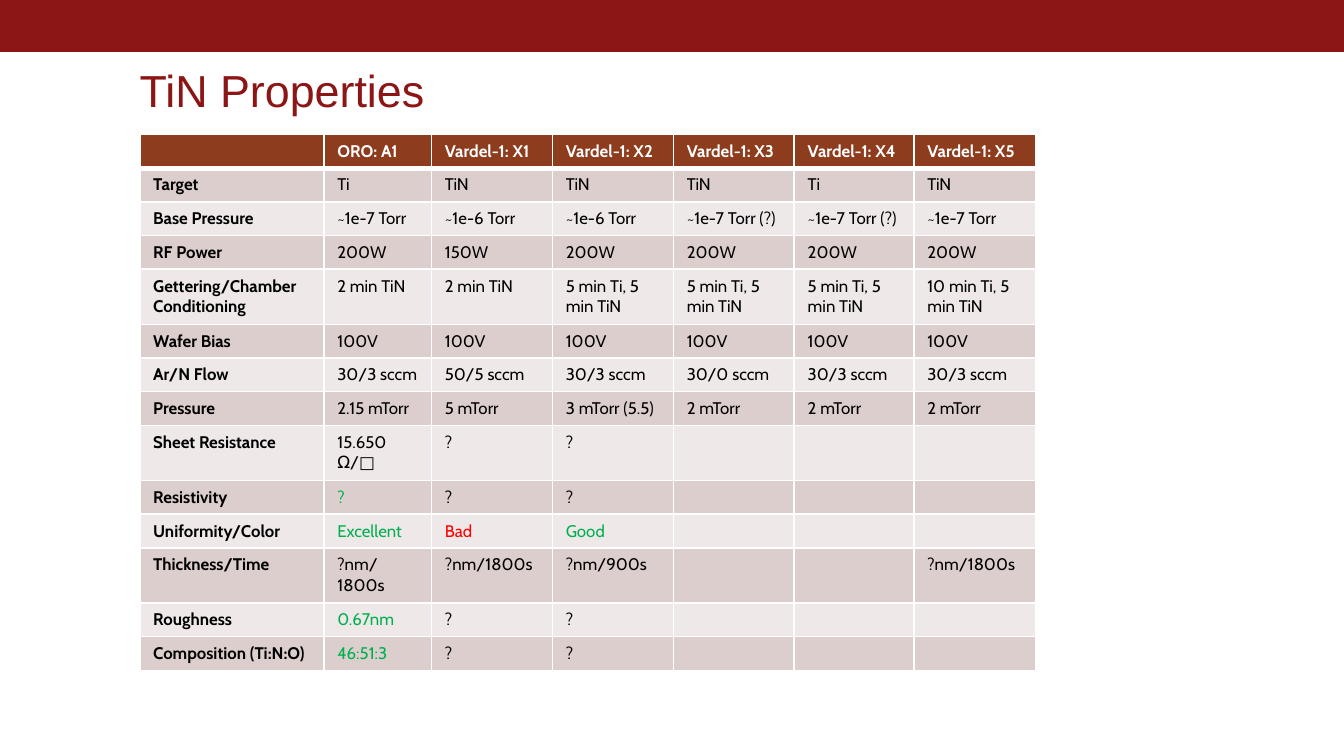
from lxml.etree import SubElement
from pptx import Presentation
from pptx.dml.color import RGBColor
from pptx.enum.shapes import MSO_SHAPE
from pptx.enum.text import MSO_ANCHOR
from pptx.oxml.ns import qn
from pptx.util import Inches, Pt

RED, GREEN, BLACK, WHITE = "8C1515", "00B050", "000000", "FFFFFF"
HEADER_FILL, BAND_FILLS = "8D3C1E", ("DBCECD", "EEE8E8")
COLUMN_WIDTHS = [1.37, 0.8, 0.9, 0.9, 0.9, 0.89, 0.91]
SINGLE_HEIGHT, DOUBLE_HEIGHT = 0.25, 0.41
DOUBLE_ROWS = {"Gettering/Chamber Conditioning", "Sheet Resistance", "Thickness/Time"}
PROPERTIES = [
    ["", "ORO: A1", "Vardel-1: X1", "Vardel-1: X2", "Vardel-1: X3", "Vardel-1: X4", "Vardel-1: X5"],
    ["Target", "Ti", "TiN", "TiN", "TiN", "Ti", "TiN"],
    ["Base Pressure", "~1e-7 Torr", "~1e-6 Torr", "~1e-6 Torr", "~1e-7 Torr (?)", "~1e-7 Torr (?)", "~1e-7 Torr"],
    ["RF Power", "200W", "150W", "200W", "200W", "200W", "200W"],
    ["Gettering/Chamber Conditioning", "2 min TiN", "2 min TiN", "5 min Ti, 5 min TiN",
     "5 min Ti, 5 min TiN", "5 min Ti, 5 min TiN", "10 min Ti, 5 min TiN"],
    ["Wafer Bias", "100V", "100V", "100V", "100V", "100V", "100V"],
    ["Ar/N Flow", "30/3 sccm", "50/5 sccm", "30/3 sccm", "30/0 sccm", "30/3 sccm", "30/3 sccm"],
    ["Pressure", "2.15 mTorr", "5 mTorr", "3 mTorr (5.5)", "2 mTorr", "2 mTorr", "2 mTorr"],
    ["Sheet Resistance", "15.650 Ω/□", "?", "?", "", "", ""],
    ["Resistivity", "?", "?", "?", "", "", ""],
    ["Uniformity/Color", "Excellent", "Bad", "Good", "", "", ""],
    ["Thickness/Time", "?nm/1800s", "?nm/1800s", "?nm/900s", "", "", "?nm/1800s"],
    ["Roughness", "0.67nm", "?", "?", "", "", ""],
    ["Composition (Ti:N:O)", "46:51:3", "?", "?", "", "", ""],
]
RATING_COLORS = {
    ("Resistivity", 1): GREEN,
    ("Uniformity/Color", 1): GREEN,
    ("Uniformity/Color", 2): "FF0000",
    ("Uniformity/Color", 3): GREEN,
    ("Roughness", 1): GREEN,
    ("Composition (Ti:N:O)", 1): GREEN,
}


def color(value):
    """Return the colour for a hex string."""
    return RGBColor.from_string(value)


def apply_format(target, values):
    """Set each attribute named in values on the target."""
    for name, value in values.items():
        setattr(target, name, value)


def write_text(paragraph, text, font_color, **font_values):
    """Put one formatted run in a paragraph."""
    run = paragraph.add_run()
    run.text = text
    apply_format(run.font, font_values)
    run.font.color.rgb = color(font_color)


def add_top_bar(slide, left, top, width, height):
    """Draw the coloured band along the top edge."""
    bar = slide.shapes.add_shape(
        MSO_SHAPE.RECTANGLE, Inches(left), Inches(top), Inches(width), Inches(height))
    bar.shadow.inherit = False
    bar.fill.solid()
    bar.fill.fore_color.rgb = color(RED)
    bar.line.color.rgb = color(RED)
    bar.line.width = Pt(0.75)


def add_title(slide, left, top, width, height):
    """Write the slide title at the bottom of its box."""
    box = slide.shapes.add_textbox(Inches(left), Inches(top), Inches(width), Inches(height))
    apply_format(box.text_frame, {
        "word_wrap": True, "vertical_anchor": MSO_ANCHOR.BOTTOM, "margin_left": 0})
    paragraph = box.text_frame.paragraphs[0]
    paragraph.line_spacing = 0.85
    write_text(paragraph, "TiN Properties", RED, name="Arial", size=Pt(24))


def set_borders(cell, top_width, bottom_width):
    """Give a cell white borders with its own top and bottom widths."""
    properties = cell._tc.get_or_add_tcPr()
    widths = {"a:lnL": 1, "a:lnR": 1, "a:lnT": top_width, "a:lnB": bottom_width}
    for tag, width in widths.items():
        line = SubElement(properties, qn(tag), w=str(Pt(width)))
        fill = SubElement(line, qn("a:solidFill"))
        SubElement(fill, qn("a:srgbClr"), val=WHITE)


def fill_cell(cell, text, row, column, label):
    """Write and style one cell according to its place in the table."""
    is_header = row == 0
    set_borders(cell, 3 if row == 1 else 1, 3 if is_header else 1)
    cell.fill.solid()
    cell.fill.fore_color.rgb = color(HEADER_FILL if is_header else BAND_FILLS[(row - 1) % 2])
    paragraph = cell.text_frame.paragraphs[0]
    if text:
        font_color = WHITE if is_header else RATING_COLORS.get((label, column), BLACK)
        write_text(paragraph, text, font_color,
                   name="Cabin", size=Pt(9), bold=is_header or column == 0)
    else:
        SubElement(paragraph._p, qn("a:endParaRPr"), sz="900")


def add_properties_table(slide, left, top):
    """Build the table of film properties by deposition run."""
    heights = [DOUBLE_HEIGHT if row[0] in DOUBLE_ROWS else SINGLE_HEIGHT for row in PROPERTIES]
    table = slide.shapes.add_table(
        len(heights), len(COLUMN_WIDTHS), Inches(left), Inches(top),
        Inches(sum(COLUMN_WIDTHS)), Inches(sum(heights))).table
    apply_format(table, {"first_row": False, "horz_banding": False})
    for column, width in zip(table.columns, COLUMN_WIDTHS):
        column.width = Inches(width)
    for row, (values, height) in enumerate(zip(PROPERTIES, heights)):
        table.rows[row].height = Inches(height)
        for column, text in enumerate(values):
            fill_cell(table.cell(row, column), text, row, column, values[0])


def main():
    """Build and save the presentation."""
    presentation = Presentation()
    width = Inches(10)
    apply_format(presentation, {"slide_width": width, "slide_height": width * 9 // 16})
    slide = presentation.slides.add_slide(presentation.slide_layouts[6])
    add_top_bar(slide, -0.01, 0, 10.01, 0.38)
    add_title(slide, 1.04, 0.39, 8.43, 0.53)
    add_properties_table(slide, 1.04, 1)
    presentation.save("out.pptx")


if __name__ == "__main__":
    main()
